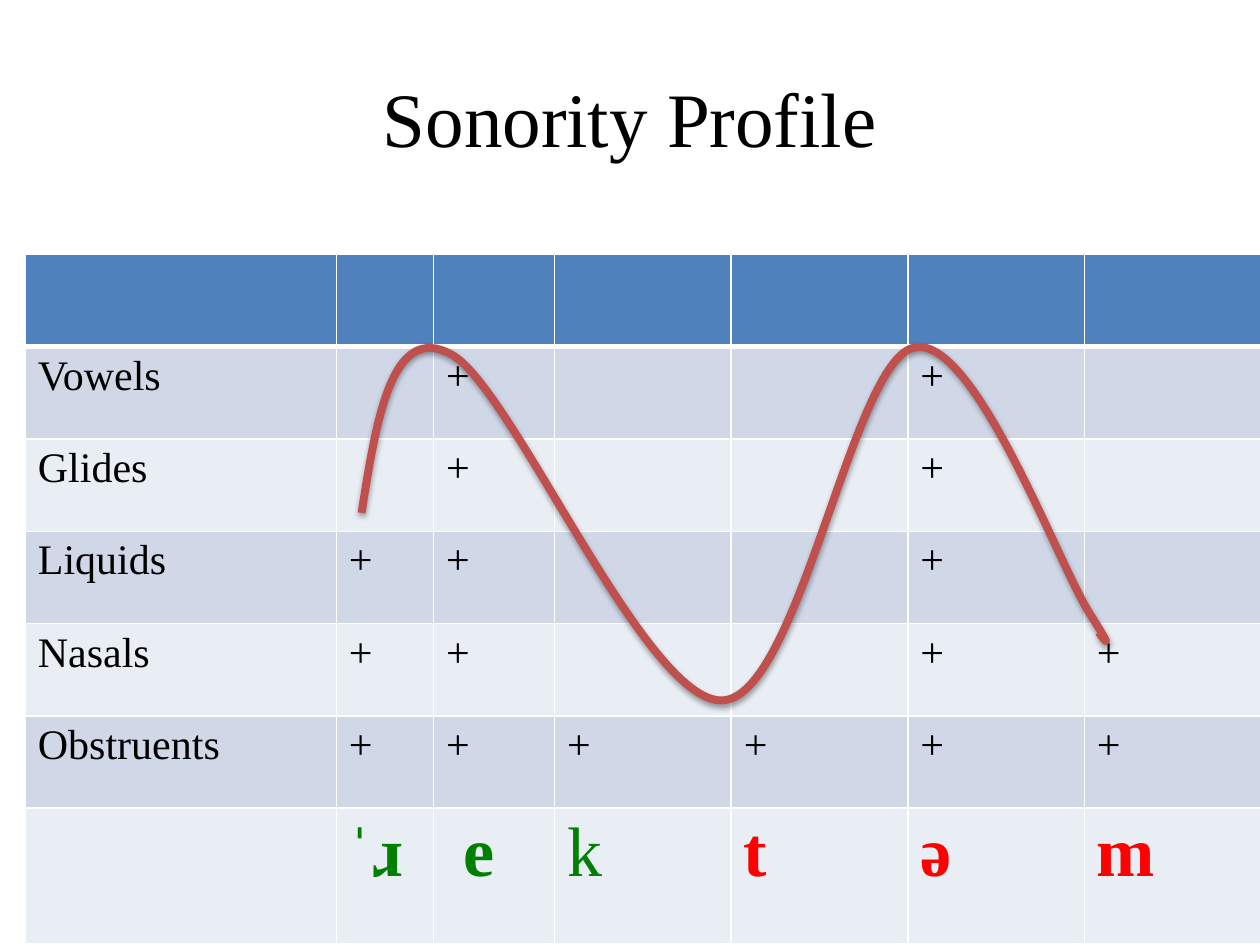
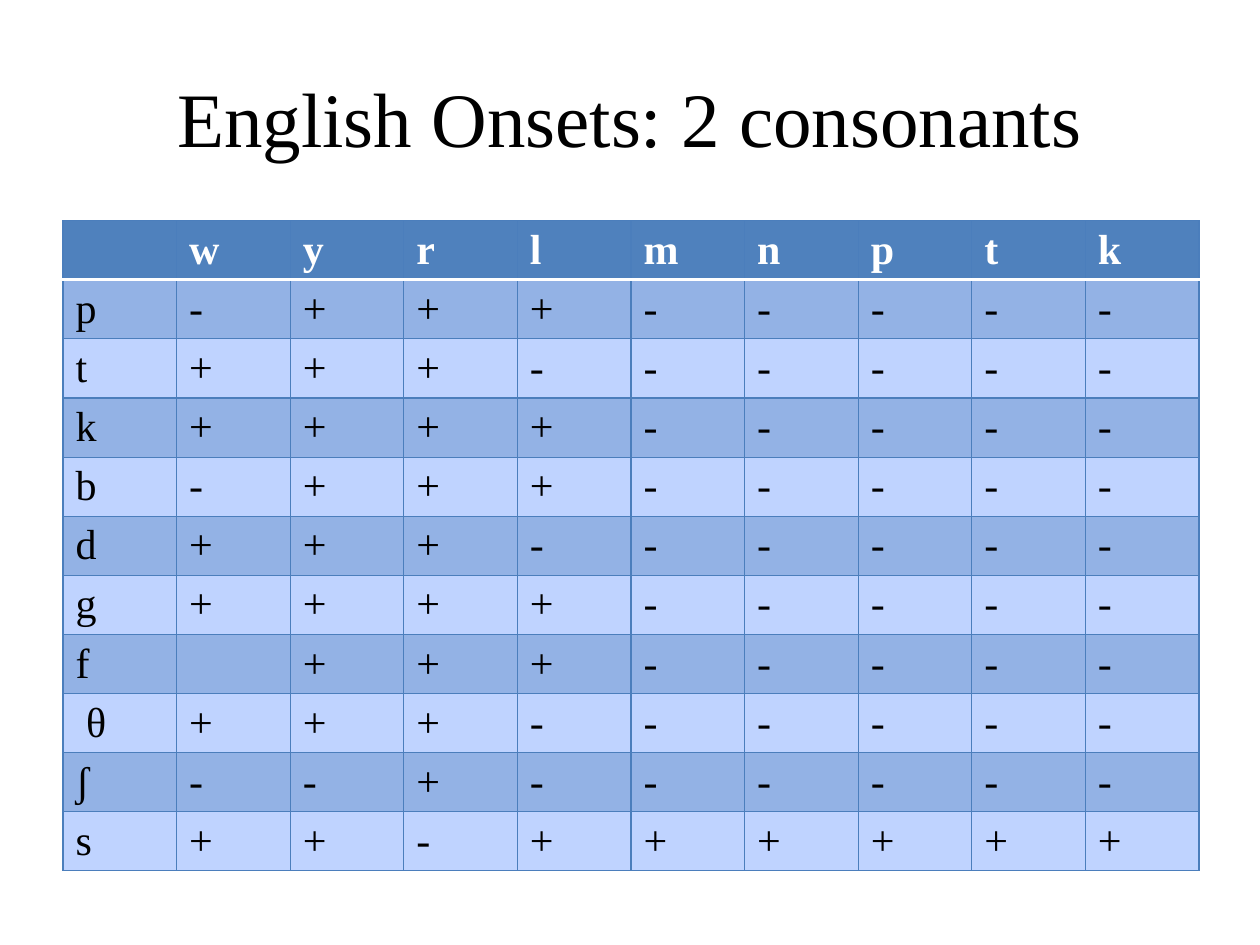
from lxml import etree
from pptx import Presentation
from pptx import util as u
from pptx.dml.color import RGBColor
from pptx.enum import text
from pptx.oxml import ns

FONT = "Times New Roman"
BLACK, WHITE, BLUE = "000000", "FFFFFF", "4F81BD"
GREEN, RED, CURVE = "008000", "FF0000", "C0504D"
GRID = "4B7EBC"
PALE_BANDS = ("D0D8E8", "E9EDF4")
BLUE_BANDS = ("93B2E5", "BFD3FF")


def colour(value):
    return RGBColor.from_string(value)


def add_child(parent, tag, **attributes):
    child = etree.SubElement(parent, ns.qn(tag))
    for name, value in attributes.items():
        child.set(name, str(value))
    return child


class Deck:
    def __init__(self):
        self.presentation = Presentation()
        self.presentation.slide_width = u.Cm(25.4)
        self.presentation.slide_height = u.Cm(19.05)
        self.slide = None

    def style(self, paragraph, size, hex_colour, bold=False):
        paragraph.font.name = FONT
        paragraph.font.size = u.Pt(size)
        paragraph.font.bold = bold
        paragraph.font.color.rgb = colour(hex_colour)

    def add_slide(self, title):
        layout = self.presentation.slide_layouts[5]
        self.slide = self.presentation.slides.add_slide(layout)
        shape = self.slide.shapes.title
        shape.left, shape.top = u.Cm(1.27), u.Cm(0.76)
        shape.width, shape.height = u.Cm(22.86), u.Cm(3.18)
        frame = shape.text_frame
        frame.text = title
        frame.vertical_anchor = text.MSO_ANCHOR.MIDDLE
        paragraph = frame.paragraphs[0]
        paragraph.alignment = text.PP_ALIGN.CENTER
        self.style(paragraph, 44, BLACK)

    def add_table(self, left, top, widths, heights, rows, bands, border, header_rule):
        table = self.slide.shapes.add_table(
            len(rows), len(widths), u.Cm(left), u.Cm(top),
            u.Cm(sum(widths)), u.Cm(sum(heights))).table
        for column, width in zip(table.columns, widths):
            column.width = u.Cm(width)
        for row, height in zip(table.rows, heights):
            row.height = u.Cm(height)
        for row_index, values in enumerate(rows):
            header = row_index == 0
            fill = BLUE if header else bands[(row_index - 1) % 2]
            sides = {"L": border, "R": border,
                     "T": header_rule if row_index == 1 else border,
                     "B": header_rule if header else border}
            for column_index, value in enumerate(values):
                cell = table.cell(row_index, column_index)
                self.set_borders(cell, sides)
                cell.fill.solid()
                cell.fill.fore_color.rgb = colour(fill)
                cell.text = value
                self.style(cell.text_frame.paragraphs[0], 24,
                           WHITE if header else BLACK, header)
        return table

    def set_borders(self, cell, sides):
        properties = cell._tc.get_or_add_tcPr()
        for side, (hex_colour, width) in sides.items():
            line = add_child(properties, f"a:ln{side}", w=u.Pt(width))
            add_child(add_child(line, "a:solidFill"), "a:srgbClr", val=hex_colour)

    def add_curve(self, points, hex_colour, width):
        start, *controls = [(u.Cm(x), u.Cm(y)) for x, y in points]
        builder = self.slide.shapes.build_freeform(*start)
        builder.add_line_segments(controls, close=False)
        shape = builder.convert_to_shape()
        outline = shape._element.find(".//" + ns.qn("a:path"))
        segments = outline.findall(ns.qn("a:lnTo"))
        for index in range(0, len(segments), 3):
            bezier = add_child(outline, "a:cubicBezTo")
            for segment in segments[index:index + 3]:
                bezier.append(segment[0])
                outline.remove(segment)
        shape.fill.background()
        shape.line.color.rgb = colour(hex_colour)
        shape.line.width = u.Pt(width)
        self.add_shadow(shape)

    def add_shadow(self, shape):
        shape.shadow.inherit = False
        effects = shape._element.spPr.find(ns.qn("a:effectLst"))
        shadow = add_child(effects, "a:outerShdw", blurRad=u.Pt(3.1), dist=u.Pt(1.6),
                           dir=90 * 60000, rotWithShape=0)
        add_child(add_child(shadow, "a:srgbClr", val=BLACK), "a:alpha", val=38000)

    def save(self):
        self.presentation.save("out.pptx")


def mark_row(label, marks):
    return [label, *(mark.strip() for mark in marks)]


deck = Deck()

deck.add_slide("Sonority Profile")
sounds = [("ˈɹ", GREEN, True), (" e", GREEN, True), ("k", GREEN, False),
          ("t", RED, True), ("ə ", RED, True), ("m", RED, True)]
sonority_rows = [
    [""] * 7,
    mark_row("Vowels", " +  + "),
    mark_row("Glides", " +  + "),
    mark_row("Liquids", "++  + "),
    mark_row("Nasals", "++  ++"),
    mark_row("Obstruents", "++++++"),
    ["", *(sound for sound, _, _ in sounds)],
]
sonority = deck.add_table(0.51, 5.13, [6.27, 1.96, 2.44] + [3.56] * 4,
                          [1.86] * 6 + [2.74], sonority_rows, PALE_BANDS,
                          (WHITE, 1), (WHITE, 3))
for column_index, (_, sound_colour, bold) in enumerate(sounds, 1):
    paragraph = sonority.cell(6, column_index).text_frame.paragraphs[0]
    deck.style(paragraph, 40, sound_colour, bold)
deck.add_curve([
    (7.29, 10.34),
    (7.59, 8.43), (7.9, 6.5), (9.09, 7.14),
    (10.31, 7.77), (13, 14.15), (14.55, 14.12),
    (16.1, 14.1), (17.17, 7.29), (18.42, 7.01),
    (19.63, 6.71), (21.34, 11.4), (21.97, 12.37),
    (22.58, 13.34), (22.15, 12.75), (22.15, 12.75),
], CURVE, 4.5)

deck.add_slide("English Onsets: 2 consonants")
onset_marks = {
    "p": "-+++-----",
    "t": "+++------",
    "k": "++++-----",
    "b": "-+++-----",
    "d": "+++------",
    "g": "++++-----",
    "f": " +++-----",
    " θ": "+++------",
    "ʃ": "--+------",
    "s": "++-++++++",
}
onset_rows = [mark_row("", "wyrlmnptk")]
onset_rows += [mark_row(first, marks) for first, marks in onset_marks.items()]
deck.add_table(1.27, 4.45, [2.29] * 10, [1.19] * 11, onset_rows, BLUE_BANDS,
               (GRID, 0.75), (WHITE, 2))

deck.save()
